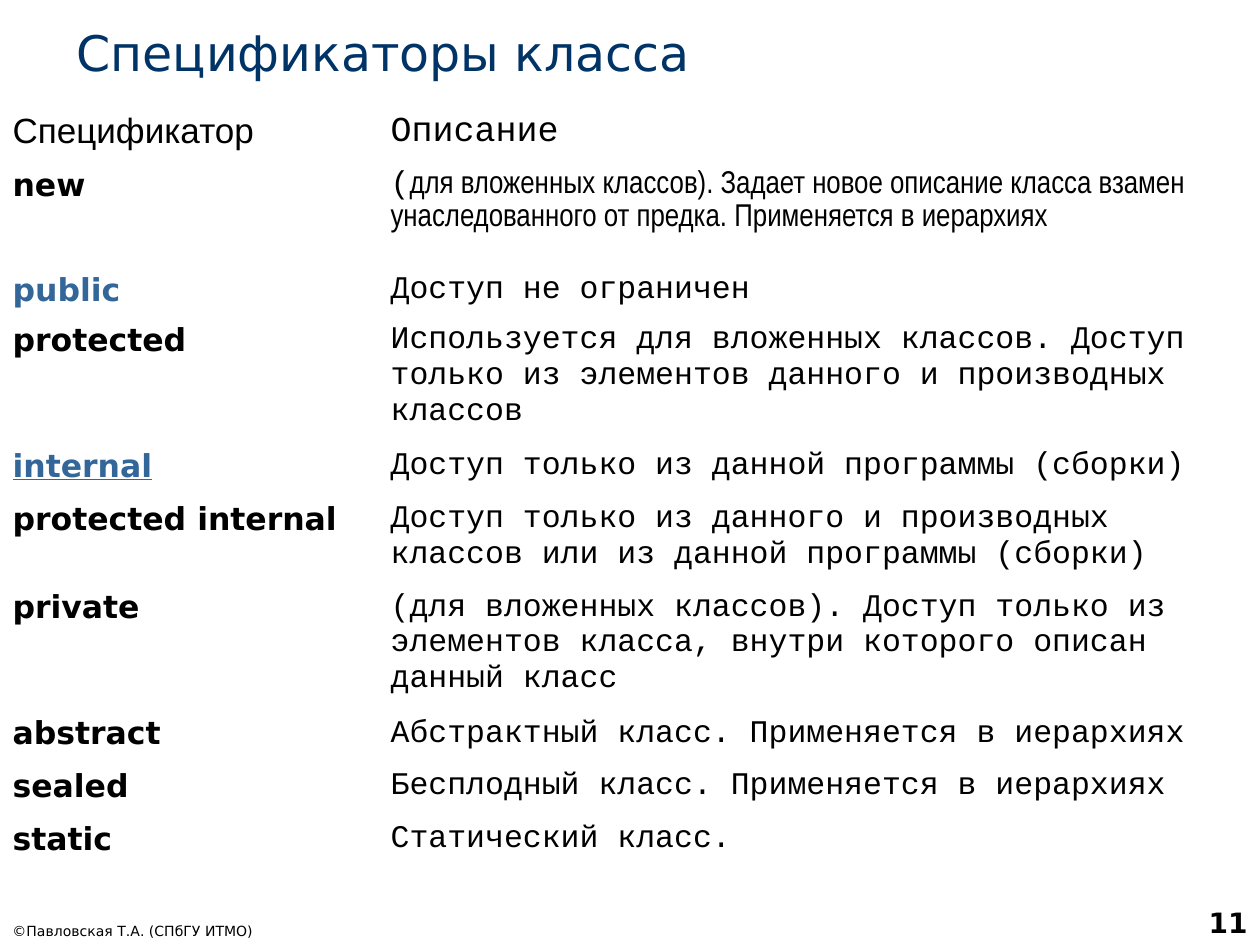
"""Build the slide listing the C# class specifiers in a two-column table."""
from dataclasses import dataclass

from pptx import Presentation
from pptx.dml.color import RGBColor as RGB
from pptx.enum.text import MSO_ANCHOR as Anchor, MSO_AUTO_SIZE as AutoSize, PP_ALIGN as Align
from pptx.util import Inches, Pt

WIDTH, HEIGHT = 10, 7.5
COLUMN_SHARES = (0.3, 0.68)
HANGING = 0.38


@dataclass(frozen=True)
class Theme:
    """Colours, fonts and type sizes of the slide."""
    black: RGB = RGB(0x00, 0x00, 0x00)
    navy: RGB = RGB(0x00, 0x33, 0x66)
    accent: RGB = RGB(0x33, 0x66, 0x99)
    sans: str = "DejaVu Sans"
    head: str = "Arial"
    mono: str = "Courier New"
    narrow: str = "Arial Narrow"
    title: int = 28
    header: int = 20
    body: int = 18
    number: int = 16
    footer: int = 8


THEME = Theme()


@dataclass(frozen=True)
class Style:
    """Look of one paragraph."""
    font: str
    size: int
    color: RGB = THEME.black
    bold: bool = False
    underline: bool = False
    align: Align = Align.LEFT
    hanging: bool = False


@dataclass(frozen=True)
class Label:
    """Text box placed by shares of the slide: left, top, width, height."""
    text: str
    box: tuple[float, float, float, float]
    style: Style
    grow: bool = False


@dataclass(frozen=True)
class Row:
    """Specifier with its description, given as runs of text and font."""
    term: str
    runs: tuple[tuple[str, str], ...]
    height: float
    color: RGB = THEME.black
    underline: bool = False
    hanging: bool = True


def mono(text: str) -> tuple[tuple[str, str], ...]:
    """Return a description made of a single monospaced run."""
    return ((text, THEME.mono),)


LABELS = (
    Label("©Павловская Т.А. (СПбГУ ИТМО)", (0, 0.963, 0.311, 0.037),
          Style(THEME.sans, THEME.footer)),
    Label("11", (0.792, 0.933, 0.208, 0.067),
          Style(THEME.sans, THEME.number, bold=True, align=Align.RIGHT)),
    Label("Спецификаторы класса", (0.051, 0.017, 0.937, 0.076),
          Style(THEME.sans, THEME.title, THEME.navy), grow=True),
)
HEADER = Row("Спецификатор", mono("Описание"), 0.44)
ROWS = (
    Row("new", (("(", THEME.mono),
                ("для вложенных классов). Задает новое описание класса взамен "
                 "унаследованного от предка. Применяется в иерархиях", THEME.narrow)),
        0.83, hanging=False),
    Row("public", mono("Доступ не ограничен"), 0.4, THEME.accent),
    Row("protected", mono("Используется для вложенных классов. Доступ только из "
                          "элементов данного и производных классов"), 1, hanging=False),
    Row("internal", mono("Доступ только из данной программы (сборки)"), 0.42,
        THEME.accent, underline=True),
    Row("protected internal", mono("Доступ только из данного и производных классов "
                                   "или из данной программы (сборки)"), 0.7, hanging=False),
    Row("private", mono("(для вложенных классов). Доступ только из элементов класса, "
                        "внутри которого описан данный класс"), 1, hanging=False),
    Row("abstract", mono("Абстрактный класс. Применяется в иерархиях"), 0.42),
    Row("sealed", mono("Бесплодный класс. Применяется в иерархиях"), 0.42),
    Row("static", mono("Статический класс."), 0.42),
)


def write(tf, runs: tuple[tuple[str, str], ...], style: Style) -> None:
    """Fill the first paragraph of a text frame with styled runs."""
    p = tf.paragraphs[0]
    p.alignment = style.align
    p.font.name, p.font.size = style.font, Pt(style.size)
    p.font.bold, p.font.underline = style.bold, style.underline
    p.font.color.rgb = style.color
    if style.hanging:
        pPr = p._p.get_or_add_pPr()
        pPr.set("marL", str(Inches(HANGING)))
        pPr.set("indent", str(-Inches(HANGING)))
    for text, font in runs:
        r = p.add_run()
        r.text = text
        r.font.name, r.font.size = font, Pt(style.size)
        r.font.bold, r.font.underline = style.bold, style.underline
        r.font.color.rgb = style.color


def add_label(s, label: Label) -> None:
    """Add a bottom-anchored text box."""
    x, y, w, h = label.box
    tf = s.shapes.add_textbox(Inches(x * WIDTH), Inches(y * HEIGHT),
                              Inches(w * WIDTH), Inches(h * HEIGHT)).text_frame
    tf.word_wrap = True
    tf.vertical_anchor = Anchor.BOTTOM
    tf.auto_size = AutoSize.SHAPE_TO_FIT_TEXT if label.grow else AutoSize.NONE
    write(tf, ((label.text, label.style.font),), label.style)


def row_styles(row: Row) -> tuple[Style, Style]:
    """Return the styles of a row's two cells."""
    if row is HEADER:
        return Style(THEME.head, THEME.header), Style(THEME.mono, THEME.header)
    return (Style(THEME.sans, THEME.body, row.color, True, row.underline, hanging=True),
            Style(THEME.mono, THEME.body, hanging=row.hanging))


def add_specifiers(s, rows: tuple[Row, ...]) -> None:
    """Add the unfilled table of specifiers."""
    table = s.shapes.add_table(
        len(rows), len(COLUMN_SHARES), 0, Inches(0.112 * HEIGHT),
        Inches(sum(COLUMN_SHARES) * WIDTH), Inches(sum(row.height for row in rows))).table
    table.first_row = table.horz_banding = False
    for column, share in zip(table.columns, COLUMN_SHARES):
        column.width = Inches(share * WIDTH)
    for i, row in enumerate(rows):
        table.rows[i].height = Inches(row.height)
        term_style, text_style = row_styles(row)
        contents = ((((row.term, term_style.font),), term_style), (row.runs, text_style))
        for cell, (runs, style) in zip(table.rows[i].cells, contents):
            cell.fill.background()
            cell.margin_left = cell.margin_right = Inches(0.1)
            cell.margin_top = cell.margin_bottom = Inches(0.05)
            write(cell.text_frame, runs, style)


def main() -> None:
    """Create and save the presentation."""
    prs = Presentation()
    prs.slide_width, prs.slide_height = Inches(WIDTH), Inches(HEIGHT)
    s = prs.slides.add_slide(prs.slide_layouts[6])
    for label in LABELS:
        add_label(s, label)
    add_specifiers(s, (HEADER, *ROWS))
    prs.save("out.pptx")


if __name__ == "__main__":
    main()
